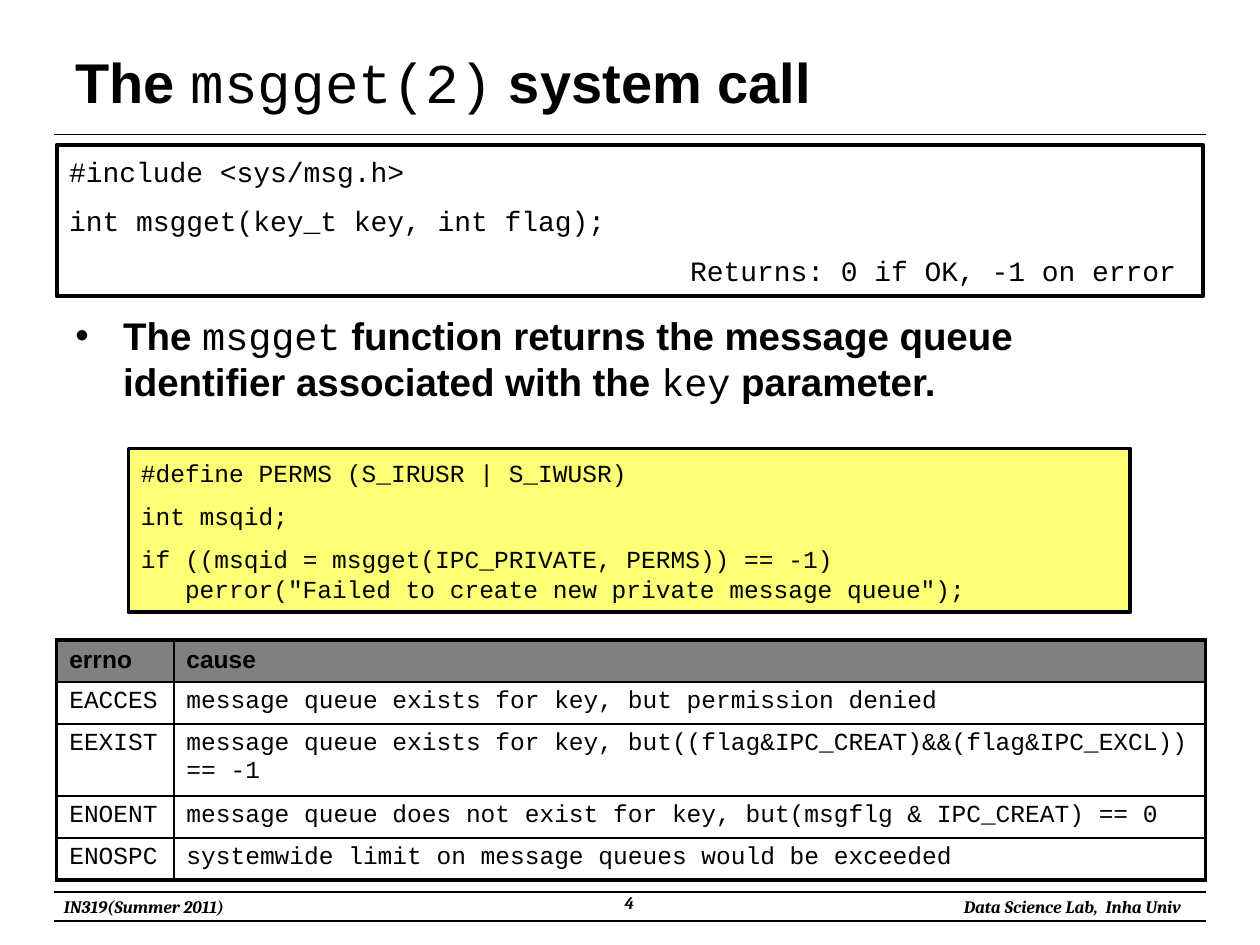
from lxml.etree import SubElement
from pptx import Presentation
from pptx.dml.color import RGBColor
from pptx.enum.shapes import MSO_CONNECTOR, MSO_SHAPE
from pptx.enum.text import MSO_ANCHOR, PP_ALIGN
from pptx.oxml.ns import qn
from pptx.util import Inches, Pt

BLACK = RGBColor(0, 0, 0)
WHITE = RGBColor(255, 255, 255)
GRAY = RGBColor(0x80, 0x80, 0x80)
YELLOW = RGBColor(0xFC, 0xFF, 0x75)
SANS, MONO, SERIF = "Arial", "Courier New", "Cambria"


def write(tf, text, size=14, font=MONO, bold=False, italic=False, align=PP_ALIGN.LEFT,
          before=0, indent=0, bullet=False):
    """Add a paragraph; parts between backticks are set in plain monospace."""
    p = tf.paragraphs[0]
    if p.runs:
        p = tf.add_paragraph()
    p.alignment = align
    p.space_before = Pt(before)
    pPr = p._p.get_or_add_pPr()
    pPr.set("marL", str(Inches(indent)))
    pPr.set("indent", str(-Inches(indent) if bullet else 0))
    if bullet:
        SubElement(pPr, qn("a:buFont")).set("typeface", SANS)
        SubElement(pPr, qn("a:buChar")).set("char", "•")
    for i, part in enumerate(text.split("`")):
        r = p.add_run()
        r.text = part
        r.font.size = Pt(size)
        r.font.name = MONO if i % 2 else font
        r.font.bold = bold and i % 2 == 0
        r.font.italic = italic
        r.font.color.rgb = BLACK


def add_frame(s, left, top, width, height, anchor=MSO_ANCHOR.TOP, fill=None, border=False):
    """Add a text box, or a bordered rectangle, and return its text frame."""
    box = [Inches(v) for v in (left, top, width, height)]
    if border:
        sp = s.shapes.add_shape(MSO_SHAPE.RECTANGLE, *box)
        sp.shadow.inherit = False
        sp.line.color.rgb = BLACK
        sp.line.width = Pt(2.25)
        if fill is None:
            sp.fill.background()
        else:
            sp.fill.solid()
            sp.fill.fore_color.rgb = fill
    else:
        sp = s.shapes.add_textbox(*box)
    tf = sp.text_frame
    tf.word_wrap = True
    tf.vertical_anchor = anchor
    return tf


prs = Presentation()
prs.slide_width, prs.slide_height = Inches(10), Inches(7.5)
s = prs.slides.add_slide(prs.slide_layouts[6])

# Rules under the title and around the footer
for y in (1.07, 7.08, 7.31):
    rule = s.shapes.add_connector(MSO_CONNECTOR.STRAIGHT, Inches(0.43), Inches(y),
                                  Inches(9.57), Inches(y))
    rule.line.color.rgb = BLACK
    rule.line.width = Pt(0.75)
    SubElement(rule._element.spPr, qn("a:effectLst"))

# Footer
for text, left, top, width, height, align, anchor in (
    ("IN319(Summer 2011)", 0.41, 7.06, 1.73, 0.27, PP_ALIGN.LEFT, MSO_ANCHOR.MIDDLE),
    ("Data Science Lab,  Inha Univ", 7.16, 7.06, 2.31, 0.27, PP_ALIGN.RIGHT, MSO_ANCHOR.MIDDLE),
    ("4", 3.83, 7.03, 2.33, 0.31, PP_ALIGN.CENTER, MSO_ANCHOR.TOP),
):
    tf = add_frame(s, left, top, width, height, anchor)
    write(tf, text, size=10, font=SERIF, bold=True, italic=True, align=align)

# Title and body
tf = add_frame(s, 0.5, 0.3, 9, 0.69, MSO_ANCHOR.MIDDLE)
write(tf, "The `msgget(2)` system call", size=32, font=SANS, bold=True)
tf = add_frame(s, 0.5, 2.43, 9, 0.9)
write(tf, "The `msgget` function returns the message queue identifier associated "
      "with the `key` parameter.", size=22, font=SANS, bold=True, indent=0.38, bullet=True)

# Synopsis
tf = add_frame(s, 0.45, 1.15, 9.1, 1.2, MSO_ANCHOR.MIDDLE, border=True)
write(tf, "#include <sys/msg.h>", size=16)
write(tf, "int msgget(key_t key, int flag);", size=16, before=9)
write(tf, "Returns: 0 if OK, -1 on error", size=16, before=9, indent=4.93)

# Example
tf = add_frame(s, 1.02, 3.56, 7.95, 1.3, MSO_ANCHOR.MIDDLE, fill=YELLOW, border=True)
write(tf, "#define PERMS (S_IRUSR | S_IWUSR)")
write(tf, "int msqid;", before=8)
write(tf, "if ((msqid = msgget(IPC_PRIVATE, PERMS)) == -1)", before=8)
write(tf, 'perror("Failed to create new private message queue");', indent=0.35)

# Error table
errors = [
    ("errno", "cause"),
    ("EACCES", "message queue exists for key, but permission denied"),
    ("EEXIST", "message queue exists for key, but((flag&IPC_CREAT)&&(flag&IPC_EXCL)) == -1"),
    ("ENOENT", "message queue does not exist for key, but(msgflg & IPC_CREAT) == 0"),
    ("ENOSPC", "systemwide limit on message queues would be exceeded"),
]
heights = (0.33, 0.33, 0.57, 0.33, 0.33)
table = s.shapes.add_table(len(errors), 2, Inches(0.45), Inches(5.08),
                           Inches(9.12), Inches(sum(heights))).table
for column, width in zip(table.columns, (0.93, 8.19)):
    column.width = Inches(width)
last = len(errors) - 1
for i, (row, height) in enumerate(zip(errors, heights)):
    table.rows[i].height = Inches(height)
    for j, text in enumerate(row):
        cell = table.cell(i, j)
        header = i == 0
        write(cell.text_frame, text, font=SANS if header else MONO, bold=header)
        tcPr = cell._tc.get_or_add_tcPr()
        for side, outer in (("L", j == 0), ("R", j == 1), ("T", header), ("B", i == last)):
            ln = SubElement(tcPr, qn(f"a:ln{side}"), w=str(Pt(2.25 if outer else 1)))
            SubElement(SubElement(ln, qn("a:solidFill")), qn("a:srgbClr")).set("val", str(BLACK))
        cell.fill.solid()
        cell.fill.fore_color.rgb = GRAY if header else WHITE

prs.save("out.pptx")
